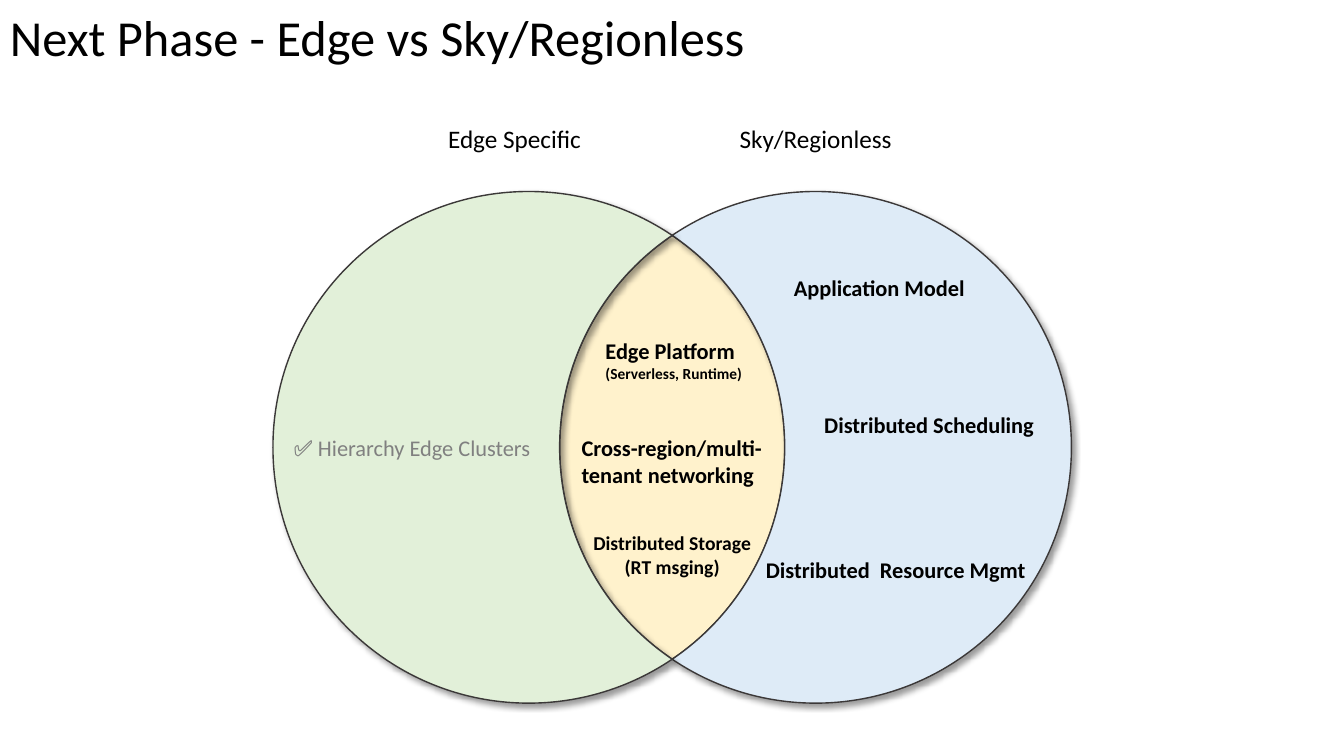
from math import acos, ceil, cos, floor, pi, sin, tan

from lxml import etree
from pptx import Presentation
from pptx import util as u
from pptx.dml.color import RGBColor
from pptx.enum import text
from pptx.oxml import parse_xml
from pptx.oxml.ns import nsdecls, qn

BLACK = RGBColor(0, 0, 0)
GREY = RGBColor(0x80, 0x80, 0x80)
OUTLINE = RGBColor(0x3B, 0x38, 0x38)
YELLOW = RGBColor(0xFF, 0xF2, 0xCC)
BLUE = RGBColor(0xDE, 0xEB, 0xF7)
GREEN = RGBColor(0xE2, 0xF0, 0xD9)
FONT = "Calibri"
SHADOW = (
    f'<a:effectLst {nsdecls("a")}>'
    '<a:outerShdw blurRad="50800" dist="38100" dir="2700000" algn="tl" rotWithShape="0">'
    '<a:srgbClr val="000000"><a:alpha val="40000"/></a:srgbClr>'
    '</a:outerShdw></a:effectLst>')

# Left, top, width and height in percent of the Venn box; wrap; alignment; runs
LEFT, CENTER = text.PP_ALIGN.LEFT, text.PP_ALIGN.CENTER
HEADINGS = [
    ((20.7, -14.3, 19.4, 7.9), "Edge Specific"),
    ((57.2, -14.3, 21.8, 7.9), "Sky/Regionless"),
]
TOPICS = [
    ((64.0, 15.2, 24.2, 7.3), False, LEFT, [("Application Model", 16)]),
    ((67.8, 41.9, 29.2, 7.3), False, LEFT, [("Distributed Scheduling", 16)]),
    ((37.4, 46.5, 25.3, 12.6), True, LEFT, [("Cross-region/multi-tenant networking", 16)]),
    ((60.5, 70.3, 36.5, 7.3), True, LEFT, [("Distributed  Resource Mgmt", 16)]),
    ((35.4, 65.4, 29.2, 11.2), True, CENTER,
     [("Distributed Storage", 14), ("(RT msging)", 14)]),
    ((40.4, 27.5, 20.2, 11.0), False, LEFT,
     [("Edge Platform", 16), ("(Serverless, Runtime)", 11)]),
]
DONE_TOPIC = ((0.7, 46.4, 33.6, 7.3), " ✅ Hierarchy Edge Clusters")


def within(box, shares):
    """Turn percentages of a box into absolute left, top, width and height."""
    x, y, w, h = box
    left, top, width, height = (share / 100 for share in shares)
    return [round(v) for v in (x + left * w, y + top * h, width * w, height * h)]


def add_text(s, box, lines, color=BLACK, bold=False, wrap=False, align=LEFT):
    """Add a text box with one paragraph for each (wording, size) pair."""
    tf = s.shapes.add_textbox(*box).text_frame
    tf.word_wrap = wrap
    tf.auto_size = text.MSO_AUTO_SIZE.SHAPE_TO_FIT_TEXT
    for i, (wording, size) in enumerate(lines):
        p = tf.paragraphs[0] if i == 0 else tf.add_paragraph()
        p.alignment = align
        r = p.add_run()
        r.text = wording
        r.font.name, r.font.size, r.font.bold = FONT, u.Pt(size), bold
        r.font.color.rgb = color
    return tf


def arc(center, radius, start, end):
    """Return Bezier points along a circle, split at its quarter points."""
    cx, cy = center
    low, high = sorted((start, end))
    quarters = range(ceil(low / (pi / 2)), floor(high / (pi / 2)) + 1)
    stops = sorted([low, *(q * pi / 2 for q in quarters), high], reverse=start > end)
    points = [(cx + radius * cos(start), cy + radius * sin(start))]
    for a, b in zip(stops, stops[1:]):
        k = 4 / 3 * tan((b - a) / 4)
        points += [(cx + radius * (cos(t) - m * sin(t)), cy + radius * (sin(t) + m * cos(t)))
                   for t, m in ((a, k), (b, -k), (b, 0))]
    return points


def add_region(s, first, second, color):
    """Add one filled, shadowed region bounded by two arcs that meet."""
    points = first + second[1:]
    builder = s.shapes.build_freeform(*points[0])
    builder.add_line_segments(points[1:], close=True)
    sp = builder.convert_to_shape()
    steps = sp._element.findall(".//" + qn("a:lnTo"))
    for i in range(0, len(steps), 3):
        curve = etree.Element(qn("a:cubicBezTo"))
        steps[i].addprevious(curve)
        for step in steps[i:i + 3]:
            curve.append(step[0])
            step.getparent().remove(step)
    sp.fill.solid()
    sp.fill.fore_color.rgb = color
    sp.line.color.rgb = OUTLINE
    sp.line.width = u.Pt(1)
    sp.shadow.inherit = False
    effects = sp._element.spPr.find(qn("a:effectLst"))
    effects.getparent().replace(effects, parse_xml(SHADOW))


def add_venn(s, box):
    """Draw two overlapping circles that fill the box, as three regions."""
    x, y, w, h = box
    radius = h / 2
    edge = (x + radius, y + radius)
    sky = (x + w - radius, y + radius)
    half = acos((sky[0] - edge[0]) / h)
    edge_inner = arc(edge, radius, -half, half)
    sky_inner = arc(sky, radius, pi - half, pi + half)
    edge_outer = arc(edge, radius, half, 2 * pi - half)
    sky_outer = arc(sky, radius, half - pi, pi - half)
    add_region(s, edge_inner, sky_inner, YELLOW)
    add_region(s, sky_outer, edge_inner[::-1], BLUE)
    add_region(s, edge_outer, sky_inner[::-1], GREEN)


def add_labels(s, box):
    """Place the headings and topics relative to the Venn box."""
    for shares, wording in HEADINGS:
        add_text(s, within(box, shares), [(wording, 18)])
    for shares, wrap, align, lines in TOPICS:
        add_text(s, within(box, shares), lines, bold=True, wrap=wrap, align=align)
    shares, wording = DONE_TOPIC
    add_text(s, within(box, shares), [(wording, 16)], color=GREY)


def add_title(s, box):
    """Add the slide title, centred vertically in its box."""
    tf = add_text(s, box, [("Next Phase - Edge vs Sky/Regionless", 36)], wrap=True)
    tf.auto_size = text.MSO_AUTO_SIZE.NONE
    tf.vertical_anchor = text.MSO_ANCHOR.MIDDLE
    tf.paragraphs[0].line_spacing = 0.9


def main():
    """Build and save the slide."""
    prs = Presentation()
    prs.slide_width, prs.slide_height = u.Inches(13.33), u.Inches(7.5)
    s = prs.slides.add_slide(prs.slide_layouts[6])
    page = (0, 0, prs.slide_width, prs.slide_height)
    venn = within(page, (20.31, 25.33, 59.41, 67.68))
    add_title(s, within(page, (0, 0, 86.27, 10.67)))
    add_venn(s, venn)
    add_labels(s, venn)
    prs.save("out.pptx")


main()
